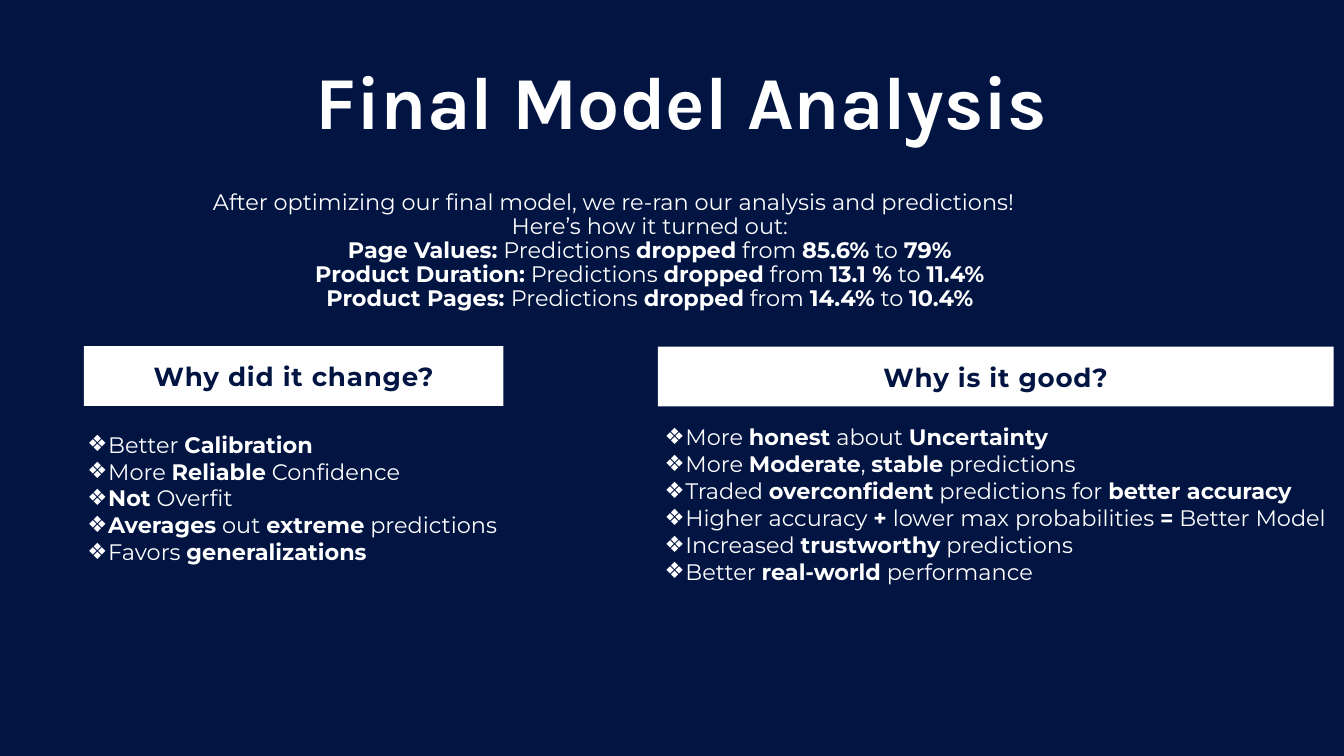
from dataclasses import dataclass

from lxml.etree import SubElement
from pptx import Presentation
from pptx.dml.color import RGBColor
from pptx.enum.shapes import MSO_SHAPE
from pptx.enum.text import MSO_ANCHOR as ANCHOR, MSO_AUTO_SIZE as FIT, PP_ALIGN as ALIGN
from pptx.oxml.ns import qn
from pptx.util import Pt


@dataclass(frozen=True)
class Theme:
    navy: RGBColor = RGBColor(0x01, 0x14, 0x42)
    white: RGBColor = RGBColor(0xFF, 0xFF, 0xFF)
    title_font: str = "Karla"
    body_font: str = "Montserrat"
    title_size: int = 80
    heading_size: int = 28
    body_size: int = 24


def write(tf, text, *, font, size, color, bold=False, align=ALIGN.LEFT,
          leading=None, tracking=0, bullet=None, indent=0):
    """Write one paragraph per line of text; **marks** switch bold on and off."""
    for i, line in enumerate(text.split("\n")):
        p = tf.add_paragraph() if i else tf.paragraphs[0]
        p.alignment = align
        p.space_before = Pt(0)
        if leading:
            p.line_spacing = Pt(leading)
        if bullet:
            pPr = p._p.get_or_add_pPr()
            pPr.set("marL", str(Pt(indent)))
            pPr.set("indent", str(-Pt(indent)))
            SubElement(pPr, qn("a:buChar"), char=bullet)
        for j, part in enumerate(line.split("**")):
            if not part:
                continue
            r = p.add_run()
            r.text = part
            r.font.name = font
            r.font.size = Pt(size)
            r.font.bold = bold or j % 2 == 1
            r.font.color.rgb = color
            if tracking:
                r._r.get_or_add_rPr().set("spc", str(round(tracking * 100)))


def place(sp, box):
    sp.left, sp.top, sp.width, sp.height = (Pt(v) for v in box)


def set_frame(tf, inset=None, wrap=True, anchor=ANCHOR.TOP, fit=FIT.SHAPE_TO_FIT_TEXT):
    tf.word_wrap = wrap
    tf.auto_size = fit
    tf.vertical_anchor = anchor
    if inset is not None:
        tf.margin_left = tf.margin_top = tf.margin_right = tf.margin_bottom = Pt(inset)


class SlideBuilder:
    def __init__(self, slide, theme):
        self.s = slide
        self.theme = theme
        fill = slide.background.fill
        fill.solid()
        fill.fore_color.rgb = theme.navy

    def title(self, text, box):
        t, sp = self.theme, self.s.shapes.title
        place(sp, box)
        set_frame(sp.text_frame, inset=0)
        write(sp.text_frame, text, font=t.title_font, size=t.title_size, color=t.white,
              bold=True, align=ALIGN.CENTER, leading=71.2)

    def intro(self, lead, results, box):
        """Left-aligned lead line followed by centred result lines."""
        t = self.theme
        tf = self.s.shapes.add_textbox(*(Pt(v) for v in box)).text_frame
        set_frame(tf, inset=0)
        write(tf, f"{lead}\n{results}", font=t.body_font, size=t.body_size,
              color=t.white, align=ALIGN.CENTER, leading=25.8)
        tf.paragraphs[0].alignment = ALIGN.LEFT

    def heading(self, text, box):
        t = self.theme
        sp = self.s.shapes.add_shape(MSO_SHAPE.RECTANGLE, *(Pt(v) for v in box))
        sp.shadow.inherit = False
        sp.fill.solid()
        sp.fill.fore_color.rgb = t.white
        sp.line.fill.background()
        set_frame(sp.text_frame, anchor=ANCHOR.MIDDLE, fit=FIT.NONE)
        write(sp.text_frame, text, font=t.body_font, size=t.heading_size, color=t.navy,
              bold=True, align=ALIGN.CENTER, leading=34.1, tracking=0.9)

    def bullets(self, idx, text, box, wrap=True):
        t, sp = self.theme, self.s.placeholders[idx]
        place(sp, box)
        set_frame(sp.text_frame, wrap=wrap)
        write(sp.text_frame, text, font=t.body_font, size=t.body_size, color=t.white,
              bullet="❖", indent=22.3)


RESULTS = """Here’s how it turned out:
**Page Values:** Predictions **dropped** from **85.6%** to **79%**
**Product Duration:** Predictions **dropped** from **13.1 %** to **11.4%**
**Product Pages: **Predictions **dropped** from **14.4%** to **10.4%**"""

REASONS = """Better **Calibration**
More **Reliable** Confidence
**Not** Overfit
**Averages** out **extreme** predictions
Favors **generalizations**"""

BENEFITS = """More **honest** about **Uncertainty**
More **Moderate**, **stable** predictions
Traded **overconfident** predictions for **better accuracy**
Higher accuracy **+** lower max probabilities **=** Better Model
Increased **trustworthy** predictions
Better **real-world** performance"""


def main():
    prs = Presentation()
    prs.slide_width, prs.slide_height = Pt(1440), Pt(810)
    two_content = prs.slide_layouts[3]
    b = SlideBuilder(prs.slides.add_slide(two_content), Theme())

    b.title("Final Model Analysis", (108, 83.5, 1245, 72))
    b.intro("After optimizing our final model, we re-ran our analysis and predictions!",
            RESULTS, (228.2, 204.5, 936, 156.2))
    b.heading("Why did it change?", (90, 370.8, 449.3, 64))
    b.heading("Why is it good?", (704.9, 371.5, 724, 64))
    b.bullets(1, REASONS, (86.4, 457.9, 455.8, 152.6), wrap=False)
    b.bullets(2, BENEFITS, (704.9, 450, 738, 181.4))

    prs.save("out.pptx")


if __name__ == "__main__":
    main()
